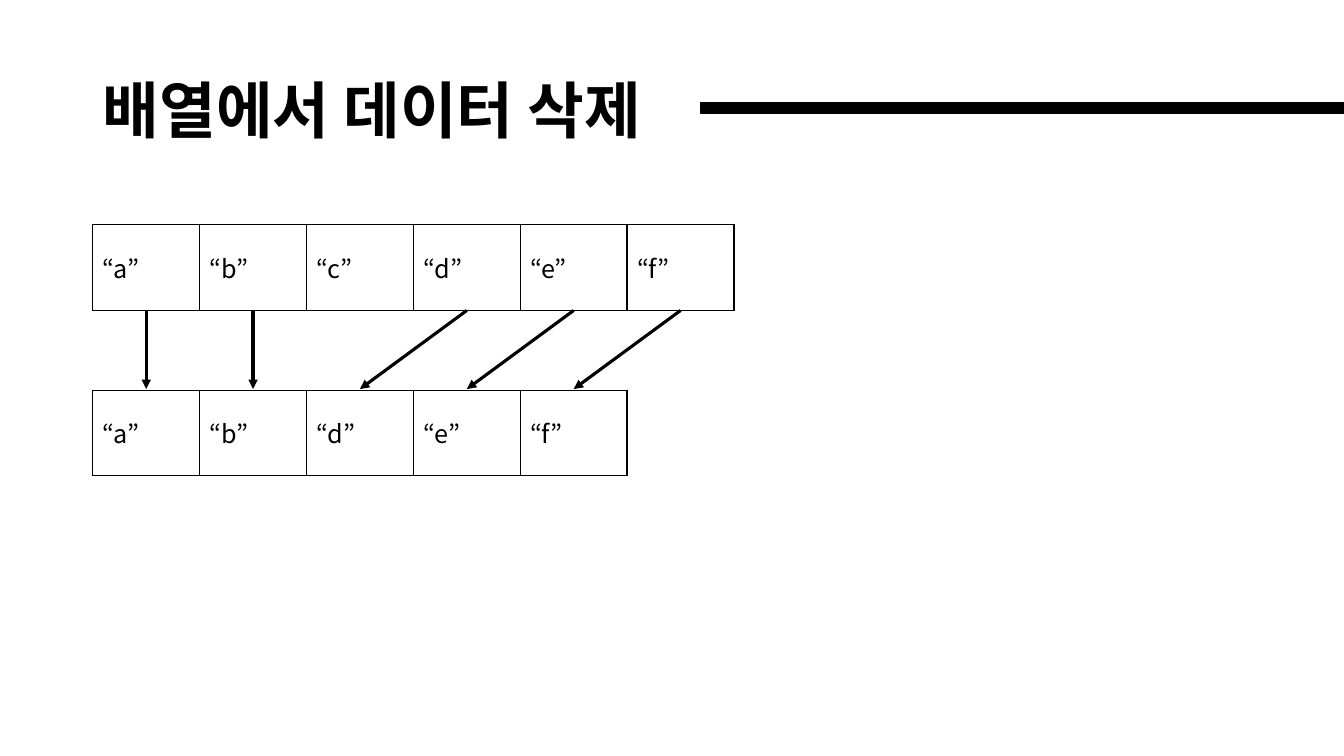
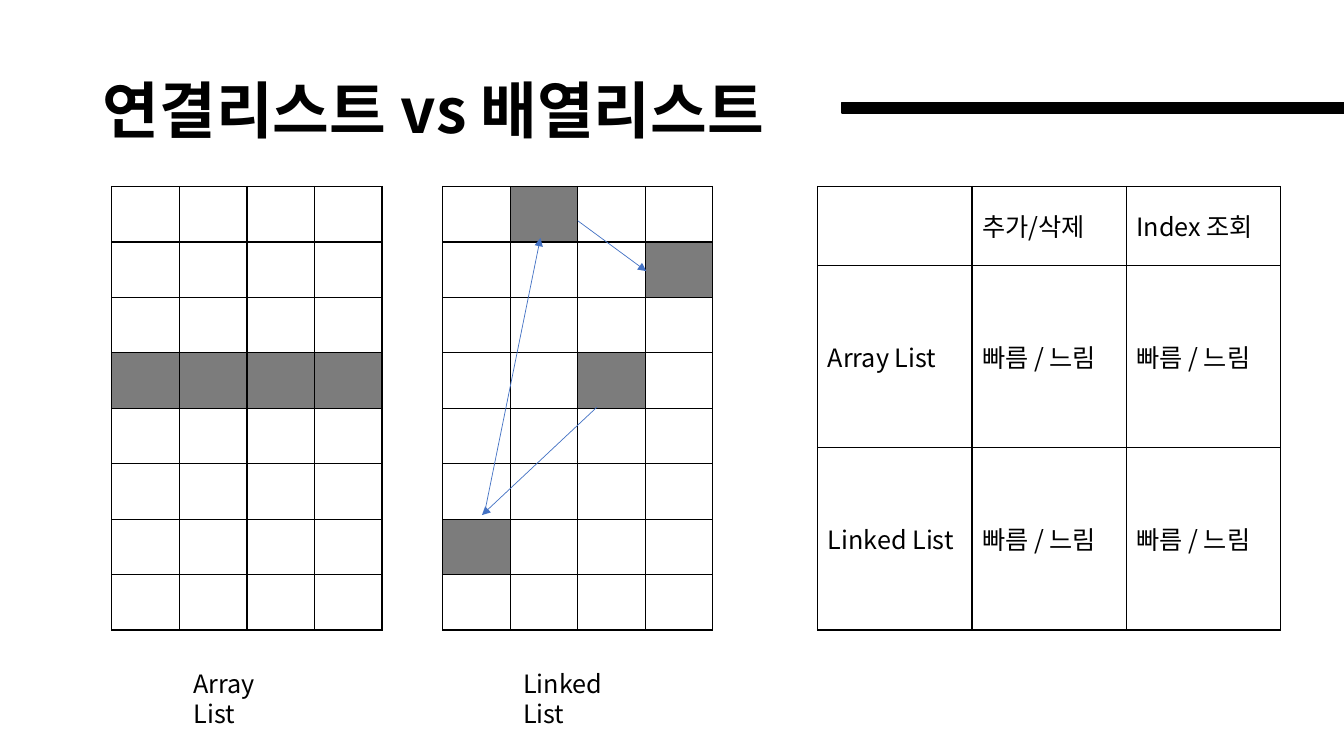
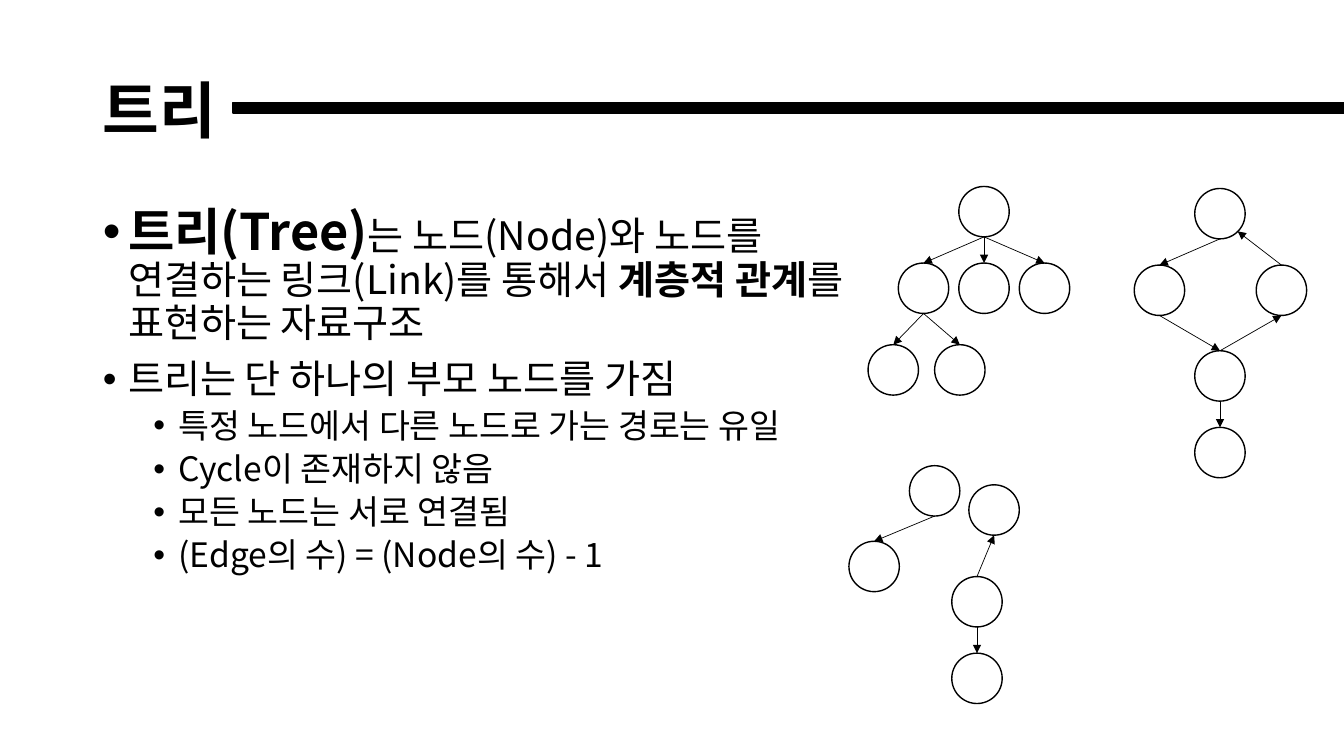
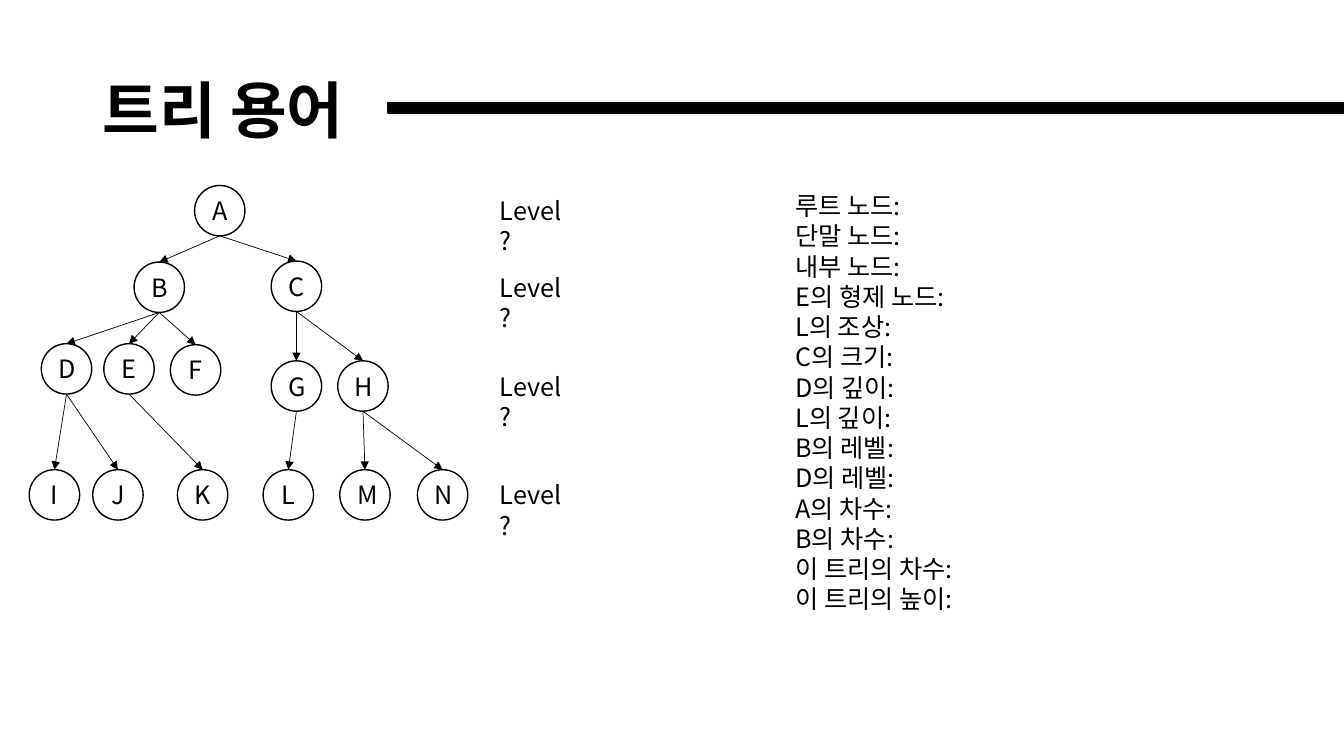
from lxml.etree import SubElement
from pptx import Presentation
from pptx.dml.color import RGBColor
from pptx.enum.shapes import MSO_CONNECTOR, MSO_SHAPE
from pptx.enum.text import MSO_ANCHOR, MSO_AUTO_SIZE, PP_ALIGN
from pptx.oxml.ns import qn
from pptx.util import Inches, Pt

# Shared style
FONT = "Noto Sans CJK KR"
BLACK = RGBColor(0x00, 0x00, 0x00)
GRAY = RGBColor(0x7C, 0x7C, 0x7C)
BLUE = RGBColor(0x44, 0x72, 0xC4)
SLIDE_WIDTH, SLIDE_HEIGHT = 13.33, 7.5
NODE_SIZE = 0.5
TITLE_ONLY, TITLE_AND_BODY = 5, 1
# Points on a node's outline, as fractions of its size
SIDES = {"top": (0.5, 0), "bottom": (0.5, 1), "lower right": (0.85, 0.85)}


def write(para, text, size=18, bold=False, color=BLACK):
    """Add one formatted run to a paragraph."""
    span = para.add_run()
    span.text = text
    span.font.name = FONT
    span.font.size = Pt(size)
    span.font.bold = bold
    span.font.color.rgb = color
    SubElement(span.font._element, qn("a:ea"), typeface=FONT)
    return span


def place(shape, left, top, width, height):
    shape.left, shape.top = Inches(left), Inches(top)
    shape.width, shape.height = Inches(width), Inches(height)


def border(cell):
    """Draw a thin black line on each side of a cell."""
    properties = cell._tc.get_or_add_tcPr()
    for index, side in enumerate(("lnL", "lnR", "lnT", "lnB")):
        line = properties.makeelement(qn(f"a:{side}"), {"w": str(Pt(1))})
        fill = SubElement(line, qn("a:solidFill"))
        SubElement(fill, qn("a:srgbClr"), val=str(BLACK))
        properties.insert(index, line)


class Pages:
    def __init__(self):
        self.deck = Presentation()
        self.deck.slide_width = Inches(SLIDE_WIDTH)
        self.deck.slide_height = Inches(SLIDE_HEIGHT)
        self.page = None

    def start(self, title, bar_left, layout=TITLE_ONLY):
        """Open a page with its title and the bar running to the right edge."""
        self.page = self.deck.slides.add_slide(self.deck.slide_layouts[layout])
        box = self.page.shapes.title
        place(box, 0.92, 0.4, 11.5, 1.45)
        frame = box.text_frame
        frame.vertical_anchor = MSO_ANCHOR.MIDDLE
        frame.auto_size = MSO_AUTO_SIZE.NONE
        para = frame.paragraphs[0]
        para.alignment = PP_ALIGN.LEFT
        para.line_spacing = 0.9
        write(para, title, size=44, bold=True)
        bar = self.shape(MSO_SHAPE.RECTANGLE, bar_left, 1.02, SLIDE_WIDTH - bar_left, 0.1)
        bar.fill.solid()
        bar.fill.fore_color.rgb = BLACK

    def shape(self, kind, left, top, width, height):
        shape = self.page.shapes.add_shape(
            kind, Inches(left), Inches(top), Inches(width), Inches(height))
        shape.shadow.inherit = False
        shape.fill.background()
        shape.line.color.rgb = BLACK
        shape.line.width = Pt(1)
        return shape

    def text(self, lines, left, top, width, height):
        box = self.page.shapes.add_textbox(
            Inches(left), Inches(top), Inches(width), Inches(height))
        frame = box.text_frame
        frame.word_wrap = True
        for index, line in enumerate(lines):
            para = frame.add_paragraph() if index else frame.paragraphs[0]
            write(para, line)

    def bullets(self, items, left, top, width, height):
        """Fill the body placeholder; each item is a level and its spans."""
        box = self.page.placeholders[1]
        place(box, left, top, width, height)
        frame = box.text_frame
        frame.auto_size = MSO_AUTO_SIZE.NONE
        for index, (level, spans) in enumerate(items):
            para = frame.add_paragraph() if index else frame.paragraphs[0]
            para.level = level
            para.line_spacing = 0.9
            para.space_before = Pt(5 if level else 10)
            properties = para._p.get_or_add_pPr()
            properties.set("marL", str(Inches(0.25 + 0.5 * level)))
            properties.set("indent", str(Inches(-0.25)))
            SubElement(properties, qn("a:buChar"), char="•")
            for text, style in spans:
                if text == "\n":
                    para.add_line_break()
                else:
                    write(para, text, **{"size": 24 if level else 28, **style})

    def table(self, rows, left, top, width, heights, shaded=()):
        columns = len(rows[0])
        table = self.page.shapes.add_table(
            len(rows), columns, Inches(left), Inches(top),
            Inches(width), Inches(sum(heights))).table
        table.first_row = table.horz_banding = False
        for column in table.columns:
            column.width = Inches(width / columns)
        for row_index, (row, height) in enumerate(zip(rows, heights)):
            table.rows[row_index].height = Inches(height)
            for column_index, text in enumerate(row):
                cell = table.cell(row_index, column_index)
                cell.vertical_anchor = MSO_ANCHOR.MIDDLE
                if (row_index, column_index) in shaded:
                    cell.fill.solid()
                    cell.fill.fore_color.rgb = GRAY
                else:
                    cell.fill.background()
                border(cell)
                if text:
                    write(cell.text_frame.paragraphs[0], text)

    def arrow(self, start, end, color=BLACK, width=0.5):
        points = [Inches(value) for value in (*start, *end)]
        arrow = self.page.shapes.add_connector(MSO_CONNECTOR.STRAIGHT, *points)
        arrow.line.color.rgb = color
        arrow.line.width = Pt(width)
        properties = arrow._element.spPr
        SubElement(properties.find(qn("a:ln")), qn("a:tailEnd"), type="triangle")
        SubElement(properties, qn("a:effectLst"))

    def graph(self, nodes, edges, labelled=False):
        """Draw named round nodes and the arrows between them."""
        for name, (left, top) in nodes.items():
            node = self.shape(MSO_SHAPE.OVAL, left, top, NODE_SIZE, NODE_SIZE)
            if labelled:
                frame = node.text_frame
                frame.vertical_anchor = MSO_ANCHOR.MIDDLE
                frame.paragraphs[0].alignment = PP_ALIGN.CENTER
                write(frame.paragraphs[0], name)

        def point(name, side):
            return [corner + NODE_SIZE * part
                    for corner, part in zip(nodes[name], SIDES[side])]

        for parent, child, *sides in edges:
            start_side, end_side = sides or ("bottom", "top")
            self.arrow(point(parent, start_side), point(child, end_side))


pages = Pages()

# Deleting from an array
pages.start("배열에서 데이터 삭제", 6.95)
ARRAY_LEFT, CELL_WIDTH = 0.92, 1.06
BEFORE, AFTER = "abcdef", "abdef"
for letters, top in ((AFTER, 3.87), (BEFORE, 2.23)):
    pages.table([[f"“{letter}”" for letter in letters]], ARRAY_LEFT, top,
                CELL_WIDTH * len(letters), [0.85])
for target, letter in enumerate(AFTER):
    centers = [ARRAY_LEFT + CELL_WIDTH * (index + 0.5)
               for index in (BEFORE.index(letter), target)]
    pages.arrow((centers[0], 3.08), (centers[1], 3.86), width=2.25)

# Linked list compared with array list
pages.start("연결리스트 vs 배열리스트", 8.35)
MEMORY_ROWS, MEMORY_COLUMNS = 8, 4
memory = [[""] * MEMORY_COLUMNS for _ in range(MEMORY_ROWS)]
array_cells = {(3, column) for column in range(MEMORY_COLUMNS)}
linked_cells = {(0, 1), (1, 3), (3, 2), (6, 0)}
for left, shaded in ((1.11, array_cells), (4.39, linked_cells)):
    pages.table(memory, left, 1.85, 2.68, [0.55] * MEMORY_ROWS, shaded)
pages.text(["Array List"], 1.82, 6.58, 1.25, 0.4)
pages.text(["Linked List"], 5.09, 6.58, 1.4, 0.4)
for start, end in (((5.92, 4.04), (4.78, 5.11)),
                   ((4.81, 5.07), (5.36, 2.36)),
                   ((5.73, 2.19), (6.41, 2.69))):
    pages.arrow(start, end, color=BLUE)
choice = "빠름 / 느림"
pages.table([["", "추가/삭제", "Index 조회"],
             ["Array List", choice, choice],
             ["Linked List", choice, choice]],
            8.11, 1.85, 4.59, [0.78, 1.81, 1.81])

# What a tree is
pages.start("트리", 2.31, TITLE_AND_BODY)
pages.bullets([
    (0, [("트리(Tree)", {"size": 36, "bold": True}),
         ("는 노드(Node)와 노드를", {}),
         ("\n", {}),
         ("연결하는 링크(Link)를 통해서 ", {}),
         ("계층적 관계", {"bold": True}),
         ("를 표현하는 자료구조", {})]),
    (0, [("트리는 단 하나의 부모 노드를 가짐", {})]),
    (1, [("특정 노드에서 다른 노드로 가는 경로는 유일", {})]),
    (1, [("Cycle이 존재하지 않음", {})]),
    (1, [("모든 노드는 서로 연결됨", {})]),
    (1, [("(Edge의 수) = (Node의 수) - 1", {})]),
], 0.92, 2, 7.9, 4.76)
# A proper tree
pages.graph(
    {"root": (9.51, 1.85), "left": (8.91, 2.61), "middle": (9.51, 2.61),
     "right": (10.11, 2.61), "first leaf": (8.61, 3.42), "second leaf": (9.27, 3.42)},
    [("root", "left"), ("root", "middle"), ("root", "right"),
     ("left", "first leaf"), ("left", "second leaf")])
# A graph with a cycle
pages.graph(
    {"root": (11.85, 1.87), "left": (11.25, 2.63), "right": (12.46, 2.63),
     "join": (11.85, 3.48), "leaf": (11.85, 4.24)},
    [("root", "left"), ("left", "join"), ("join", "right", "top", "bottom"),
     ("right", "root", "top", "lower right"), ("join", "leaf")])
# A graph in two separate parts
pages.graph(
    {"root": (9.02, 4.62), "child": (8.42, 5.37), "upper": (9.61, 4.81),
     "middle": (9.44, 5.72), "lower": (9.44, 6.48)},
    [("root", "child"), ("middle", "upper", "top", "bottom"), ("middle", "lower")])

# Tree terms
pages.start("트리 용어", 3.85)
pages.graph(
    {"A": (1.93, 1.84), "B": (1.33, 2.6), "C": (2.69, 2.59),
     "D": (0.41, 3.41), "E": (1.03, 3.41), "F": (1.69, 3.42),
     "G": (2.69, 3.58), "H": (3.35, 3.58),
     "I": (0.29, 4.66), "J": (0.92, 4.66), "K": (1.76, 4.66),
     "L": (2.61, 4.66), "M": (3.37, 4.66), "N": (4.14, 4.66)},
    ["AB", "AC", "BD", "BE", "BF", "CG", "CH", "DI", "DJ", "EK", "GL", "HM", "HN"],
    labelled=True)
for top in (1.89, 2.65, 3.63, 4.71):
    pages.text(["Level ?"], 4.86, top, 0.95, 0.4)
pages.text(["루트 노드:", "단말 노드:", "내부 노드:", "E의 형제 노드:", "L의 조상:",
            "C의 크기:", "D의 깊이:", "L의 깊이:", "B의 레벨:", "D의 레벨:",
            "A의 차수:", "B의 차수:", "이 트리의 차수:", "이 트리의 높이:"],
           7.79, 1.84, 4.79, 4.34)

pages.deck.save("out.pptx")
